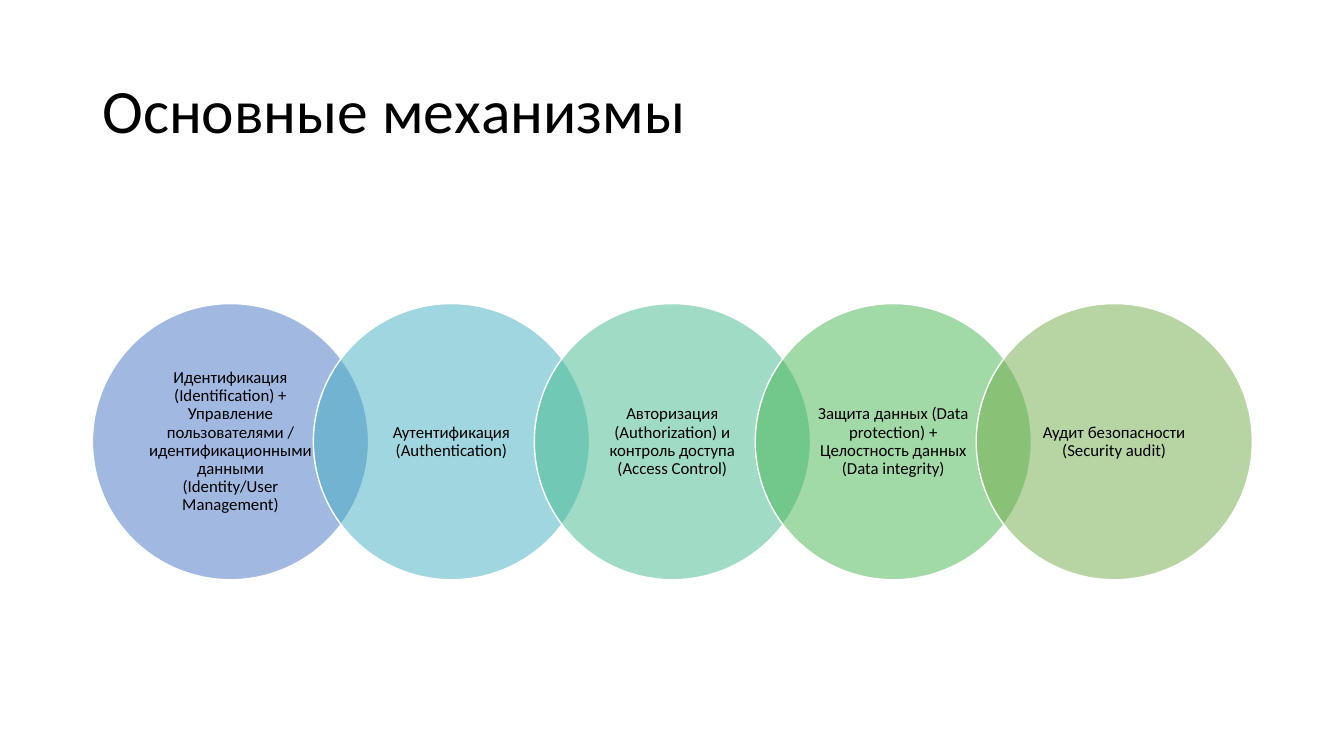
from dataclasses import dataclass

from lxml import etree
from pptx import Presentation
from pptx.dml.color import RGBColor
from pptx.enum.shapes import MSO_SHAPE
from pptx.enum.text import MSO_ANCHOR, PP_ALIGN
from pptx.oxml.ns import qn
from pptx.util import Cm, Pt

OVAL = MSO_SHAPE.OVAL
MIDDLE = MSO_ANCHOR.MIDDLE
LEFT, CENTER = PP_ALIGN.LEFT, PP_ALIGN.CENTER


@dataclass(frozen=True)
class Theme:
    """Colours and type sizes of the slide."""
    font: str = "Calibri"
    text: str = "000000"
    outline: str = "FFFFFF"
    title_size: int = 44
    label_size: int = 12
    alpha: int = 50
    fills: tuple = ("4472C4", "43AFC0", "43BB8D", "45B451", "70AD47")


THEME = Theme()
TITLE = "Основные механизмы"
MECHANISMS = (
    "Идентификация (Identification) + Управление пользователями / "
    "идентификационными данными (Identity/User Management)",
    "Аутентификация (Authentication)",
    "Авторизация (Authorization) и контроль доступа (Access Control)",
    "Защита данных (Data protection) + Целостность данных (Data integrity)",
    "Аудит безопасности (Security audit)",
)
CHAIN_LEFT, CHAIN_TOP = 2.33, 7.65
DIAMETER = 6.96
PITCH = 0.8 * DIAMETER


def apply(target, values):
    """Set every attribute in the dict on the target."""
    for name, value in values.items():
        setattr(target, name, value)


def write(tf, text, size, align, margins):
    """Write one formatted paragraph into a text frame."""
    mx, my = margins
    apply(tf, {"word_wrap": True, "vertical_anchor": MIDDLE,
               "margin_left": Cm(mx), "margin_right": Cm(mx),
               "margin_top": Cm(my), "margin_bottom": Cm(my)})
    p = tf.paragraphs[0]
    apply(p, {"alignment": align, "line_spacing": 0.9})
    r = p.add_run()
    r.text = text
    apply(r.font, {"name": THEME.font, "size": Pt(size)})
    r.font.color.rgb = RGBColor.from_string(THEME.text)


def add_title(s, text):
    """Add the slide title."""
    sp = s.shapes.add_textbox(Cm(2.33), Cm(1.01), Cm(29.21), Cm(3.68))
    write(sp.text_frame, text, THEME.title_size, LEFT, (0.25, 0.13))


def add_circle(shapes, left, fill, text):
    """Add one translucent labelled circle of the chain."""
    sp = shapes.add_shape(OVAL, Cm(left), Cm(CHAIN_TOP), Cm(DIAMETER), Cm(DIAMETER))
    sp.shadow.inherit = False
    sp.fill.solid()
    sp.fill.fore_color.rgb = RGBColor.from_string(fill)
    color = sp.fill._xPr.find(qn("a:solidFill"))[0]
    etree.SubElement(color, qn("a:alpha"), val=str(THEME.alpha * 1000))
    sp.line.color.rgb = RGBColor.from_string(THEME.outline)
    sp.line.width = Pt(1)
    write(sp.text_frame, text, THEME.label_size, CENTER, (0.38, 0.04))


def add_chain(s, labels):
    """Add the group of overlapping circles."""
    group = s.shapes.add_group_shape()
    for i, (fill, text) in enumerate(zip(THEME.fills, labels)):
        add_circle(group.shapes, CHAIN_LEFT + i * PITCH, fill, text)


def main():
    """Build the slide and save it."""
    prs = Presentation()
    apply(prs, {"slide_width": Cm(33.87), "slide_height": Cm(19.05)})
    s = prs.slides.add_slide(prs.slide_layouts[6])
    add_title(s, TITLE)
    add_chain(s, MECHANISMS)
    prs.save("out.pptx")


if __name__ == "__main__":
    main()
